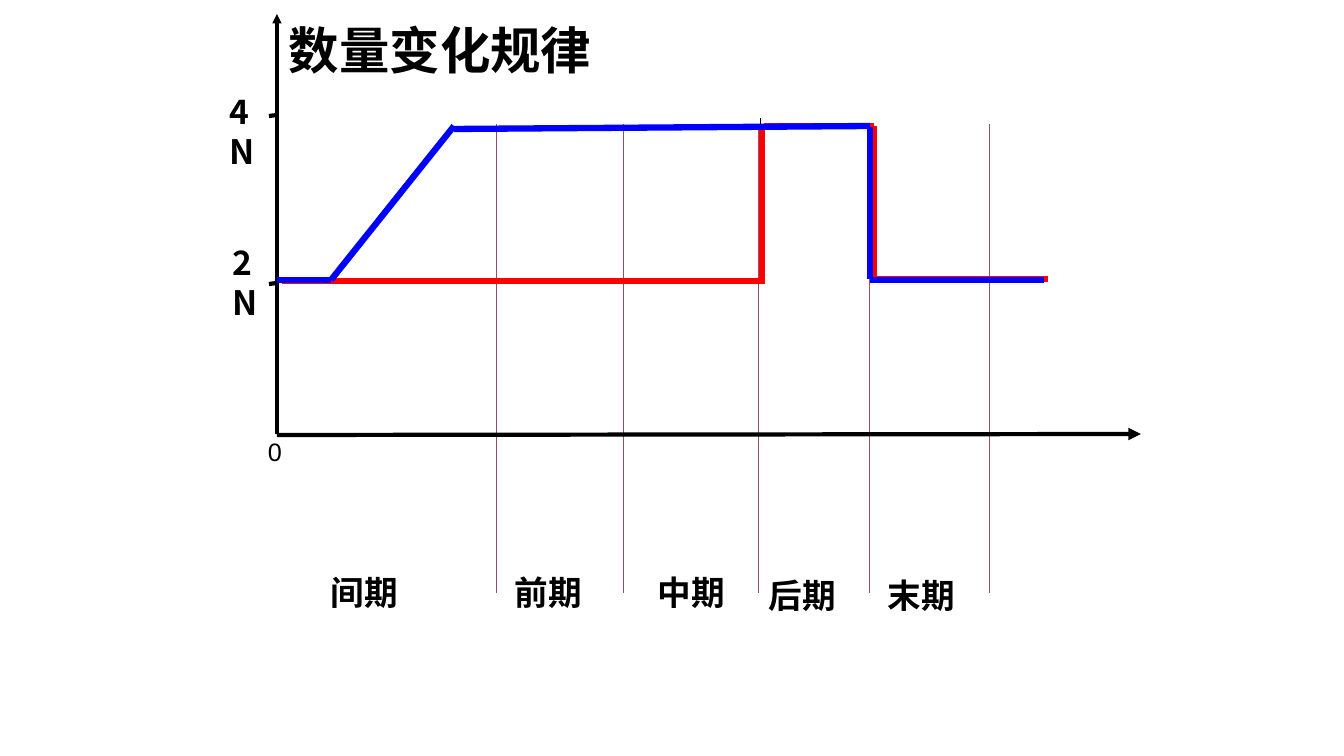
import pptx
import pptx.util
import pptx.dml.color
import pptx.enum.shapes
import pptx.oxml
import pptx.oxml.ns
import lxml.etree

PX = 914400 / 100.8
HUES = {"black": "000000", "plum": "954D72", "red": "FF0000", "blue": "0000FF"}
NOTO = "Noto Sans CJK SC"

deck = pptx.Presentation()
deck.slide_width = round(1344 * PX)
deck.slide_height = round(756 * PX)
slide = deck.slides.add_slide(deck.slide_layouts[6])


def draw(start, end, hue, weight, arrow=False):
    ends = [round(n * PX) for n in (*start, *end)]
    line = slide.shapes.add_connector(pptx.enum.shapes.MSO_CONNECTOR.STRAIGHT, *ends)
    line.line.color.rgb = pptx.dml.color.RGBColor.from_string(HUES[hue])
    line.line.width = pptx.util.Pt(weight)
    if arrow:
        head = lxml.etree.SubElement(line.line._get_or_add_ln(), pptx.oxml.ns.qn("a:tailEnd"))
        head.set("type", "triangle")
    lxml.etree.SubElement(line._element.spPr, pptx.oxml.ns.qn("a:effectLst"))


def write(words, left, top, width, height, size, font=NOTO, bold=True):
    box = slide.shapes.add_textbox(*[round(n * PX) for n in (left, top, width, height)])
    box.text_frame.word_wrap = True
    run = box.text_frame.paragraphs[0].add_run()
    run.text = words
    run.font.size = pptx.util.Pt(size)
    run.font.bold = bold
    run.font.color.rgb = pptx.dml.color.RGBColor.from_string(HUES["black"])
    run.font.name = font
    east = lxml.etree.SubElement(run._r.get_or_add_rPr(), pptx.oxml.ns.qn("a:ea"))
    east.set("typeface", font)


for x in (497, 624, 759, 870, 990):
    draw((x, 124), (x, 593), "plum", 0.75)

write("0", 258, 431, 42, 41, 18, "Arial", False)
write("数量变化规律", 279, 14, 533, 72, 36)
write("4N", 220, 86, 59, 50, 24)
write("2N", 223, 237, 53, 50, 24)
for phase, left, top in (
    ("间期", 321, 567),
    ("前期", 505, 567),
    ("中期", 648, 567),
    ("后期", 759, 570),
    ("末期", 878, 570),
):
    write(phase, left, top, 111, 50, 24)

draw((277, 435), (1141, 434), "black", 3, True)
draw((277, 434), (277, 14), "black", 2.25, True)
for y in (284, 116):
    draw((269, y), (277, y - 1), "black", 3)
draw((761, 125), (761, 118), "black", 0.75)

curves = {
    "red": (
        ((282, 281), (765, 281)),
        ((874, 279), (1048, 279)),
        ((764, 126), (874, 126)),
        ((762, 126), (762, 278)),
        ((874, 126), (874, 278)),
    ),
    "blue": (
        ((277, 280), (331, 280)),
        ((870, 280), (1044, 280)),
        ((454, 129), (870, 126)),
        ((454, 126), (331, 280)),
        ((870, 127), (870, 279)),
    ),
}
for hue, parts in curves.items():
    for start, end in parts:
        draw(start, end, hue, 4.5)

deck.save("out.pptx")
